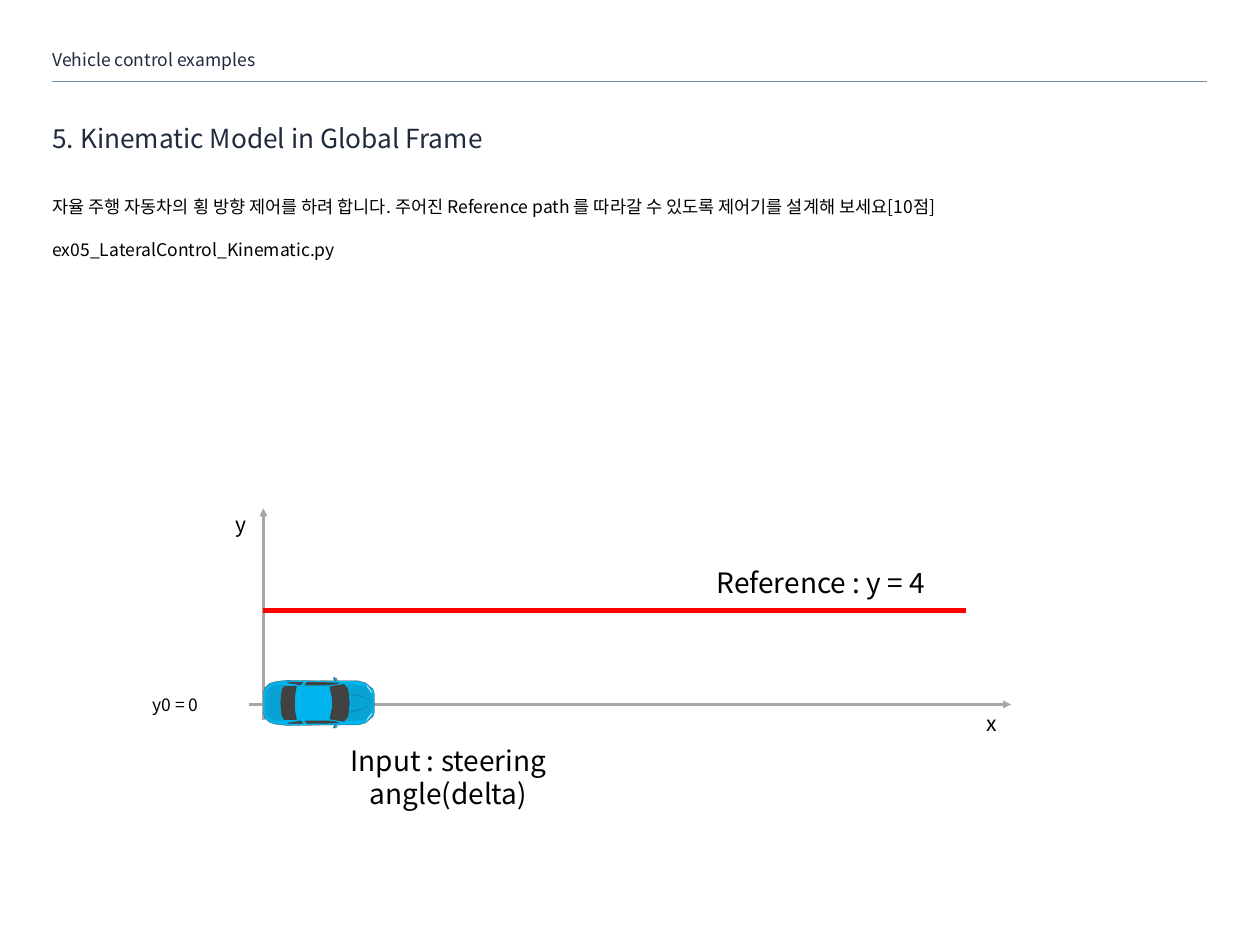
from lxml.etree import SubElement
from pptx import Presentation
from pptx.dml.color import RGBColor
from pptx.enum.shapes import MSO_CONNECTOR, MSO_SHAPE
from pptx.enum.text import MSO_ANCHOR, MSO_AUTO_SIZE, PP_ALIGN
from pptx.oxml.ns import qn
from pptx.util import Cm, Pt

FONT = "Noto Sans CJK KR"
COLORS = {"heading": "202B3D", "text": "000000", "rule": "778FAE", "axis": "A7A7A7",
          "reference": "FF0000", "paint": "00B4ED", "outline": "5B4036",
          "glass": "424242", "shade": "3C2A24", "crease": "000000", "light": "FFFFFF"}

HEADER = ["Vehicle control examples"]
TITLE = ["5. Kinematic Model in Global Frame"]
TASK = ["자율 주행 자동차의 횡 방향 제어를 하려 합니다. 주어진 Reference path 를 따라갈 수 있도록 "
        "제어기를 설계해 보세요[10점]",
        "ex05_LateralControl_Kinematic.py"]

# text, size, (left, top, width, height) in cm
LABELS = [
    ("Reference : y = 4", 32, (27.23, 22.56, 11.73, 1.83)),
    ("Input : steering angle(delta)", 32, (10.69, 29.72, 14.78, 1.83)),
    ("y", 24, (8.23, 20.37, 2.97, 1.5)),
    ("x", 24, (38.52, 28.4, 2.97, 1.5)),
    ("y0 = 0", 20, (1.21, 27.74, 11.73, 1.32)),
]
LABEL_MARGIN = 0.24

ORIGIN_X, AXIS_Y = 10.62, 28.4
# start, end in cm, color, width in points, arrow
RULE = ((2.11, 3.28), (48.68, 3.28), "rule", 0.25, False)
AXES = [((10.03, AXIS_Y), (40.76, AXIS_Y), "axis", 3, True),
        ((ORIGIN_X, 29.03), (ORIGIN_X, 20.5), "axis", 3, True)]
REFERENCE = ((ORIGIN_X, 24.61), (38.96, 24.61), "reference", 6, False)

# The car is symmetric about its long axis, so only the upper half is listed.
# Two numbers are a straight step, six are a Bézier curve.
CAR_UNIT = Cm(0.0254)
CAR_AXIS_Y = 28.34
# color, opacity in percent, half outline
CAR_BODY = ("paint", 100, [
    (0, 0), (0, -15), (0, -21, 3, -28, 10, -31), (14, -33, 23, -36, 38, -36), (113, -35),
    (111, -40), (111, -41, 116, -39, 117, -38), (117, -35), (151, -35),
    (159, -35, 166, -29, 169, -26), (173, -22, 175, -22, 176, -15), (177, -8, 176, -4, 176, 0)])
WINDSHIELD = ("glass", 100, [
    (109, 0), (109, -7), (108, -13, 107, -20, 105, -26), (128, -30),
    (133, -28, 135, -19, 136, -14), (136, -12, 137, -5, 137, 0)])
REAR_WINDOW = ("glass", 100, [
    (50, 0), (50, -6, 50, -12, 51, -16), (51, -19, 52, -23, 53, -27), (33, -27),
    (29, -25, 28, -17, 28, -14), (27, 0)])
HOOD = ("shade", 12, [
    (138, 0), (138, -6), (138, -8, 138, -10, 138, -13), (137, -17, 134, -23, 133, -29),
    (142, -29, 158, -28, 162, -27), (167, -24, 173, -15, 173, -13), (174, -2), (174, 0)])
TRUNK = ("shade", 12, [
    (26, 0), (26, -5), (27, -21), (28, -24, 30, -27, 33, -29), (27, -29, 20, -30, 15, -28),
    (11, -26, 8, -23, 6, -20), (4, -16, 3, -11, 3, -7), (3, 0)])
CENTRAL_PARTS = [CAR_BODY, WINDSHIELD, REAR_WINDOW, HOOD, TRUNK]

SIDE_REAR_WINDOW = ("glass", 100, [
    (63, -33), (58, -33, 45, -33, 41, -33), (34, -33, 38, -31, 41, -31),
    (44, -30, 55, -29, 59, -28), (61, -30, 62, -31, 63, -33)])
SIDE_FRONT_WINDOW = ("glass", 100, [
    (69, -33), (65, -28), (71, -27, 95, -28, 104, -28), (113, -29, 126, -32, 120, -32),
    (103, -33, 86, -33, 69, -33)])
WING_MIRROR = ("glass", 100, [
    (112, -40), (112, -40, 114, -37, 114, -36), (115, -36, 115, -30, 113, -36),
    (113, -37, 112, -39, 112, -40)])
HOOD_CREASE = ("crease", 12, [
    (139, -15), (139, -12), (143, -11, 148, -11, 151, -10), (155, -10, 162, -7, 168, -5),
    (163, -8, 157, -11, 153, -12), (148, -13, 144, -14, 139, -15)])
SIDE_PARTS = [SIDE_REAR_WINDOW, SIDE_FRONT_WINDOW, WING_MIRROR, HOOD_CREASE]
HEADLIGHT = (168, 22, 2, 16, 35.8)  # center x, distance from axis, width, height, tilt


def color(name):
    return RGBColor.from_string(COLORS[name])


def place(shape, box):
    shape.left, shape.top, shape.width, shape.height = (Cm(length) for length in box)


def write(shape, lines, size, color_name, align, margin, spacing=None, before=0):
    frame = shape.text_frame
    frame.word_wrap = True
    frame.auto_size = MSO_AUTO_SIZE.NONE
    frame.margin_left = frame.margin_right = Cm(margin)
    frame.margin_top = frame.margin_bottom = Cm(margin)
    frame.text = "\n".join(lines)
    for paragraph in frame.paragraphs:
        paragraph.alignment = align
        paragraph.line_spacing = spacing
        paragraph.space_before = Pt(before)
        font = paragraph.font
        font.name, font.size = FONT, Pt(size)
        font.color.rgb = color(color_name)


def fill_placeholder(shape, box, lines, size, color_name, anchor, spacing, before=0):
    place(shape, box)
    write(shape, lines, size, color_name, PP_ALIGN.LEFT, 0, spacing, before)
    shape.text_frame.vertical_anchor = anchor
    for paragraph in shape.text_frame.paragraphs:
        properties = paragraph._p.get_or_add_pPr()
        properties.set("marL", "0")
        properties.set("indent", "0")
        no_bullet = SubElement(properties, qn("a:buNone"))
        properties.find(qn("a:defRPr")).addprevious(no_bullet)


def draw_line(slide, start, end, color_name, width, arrow):
    line = slide.shapes.add_connector(
        MSO_CONNECTOR.STRAIGHT, *(Cm(length) for length in start + end))
    line.line.color.rgb = color(color_name)
    line.line.width = Pt(width)
    if arrow:
        SubElement(line.line._get_or_add_ln(), qn("a:tailEnd"), type="triangle")
    SubElement(line._element.spPr, qn("a:effectLst"))


def paint(shape, color_name, opacity):
    shape.shadow.inherit = False
    shape.fill.solid()
    shape.fill.fore_color.rgb = color(color_name)
    shape.line.fill.background()
    if opacity < 100:
        rgb = shape._element.spPr.find(qn("a:solidFill"))[0]
        SubElement(rgb, qn("a:alpha"), val=str(opacity * 1000))


def trace(steps, samples=2):
    """Turn straight steps and Bézier curves into a list of points."""
    points = [steps[0]]
    for step in steps[1:]:
        if len(step) == 2:
            points.append(step)
            continue
        controls = [points[-1], step[:2], step[2:4], step[4:]]
        for index in range(1, samples + 1):
            t = index / samples
            weights = ((1 - t) ** 3, 3 * t * (1 - t) ** 2, 3 * t * t * (1 - t), t ** 3)
            points.append(tuple(sum(weight * control[axis] for weight, control
                                    in zip(weights, controls)) for axis in (0, 1)))
    return points


def flip(points):
    return [(x, -y) for x, y in points]


def draw_outline(shapes, points, color_name, opacity):
    builder = shapes.build_freeform(*points[0], scale=CAR_UNIT)
    builder.add_line_segments(points[1:], close=True)
    shape = builder.convert_to_shape(Cm(ORIGIN_X), Cm(CAR_AXIS_Y))
    paint(shape, color_name, opacity)
    return shape


def draw_car(slide):
    shapes = slide.shapes.add_group_shape().shapes
    for part in CENTRAL_PARTS:
        color_name, opacity, steps = part
        half = trace(steps)
        mirrored_half = flip(half)[-2:0:-1]
        shape = draw_outline(shapes, half + mirrored_half, color_name, opacity)
        if part is CAR_BODY:
            shape.line.color.rgb = color("outline")
            shape.line.width = Pt(0.25)
    for color_name, opacity, steps in SIDE_PARTS:
        points = trace(steps)
        for side in (points, flip(points)):
            draw_outline(shapes, side, color_name, opacity)
    x, offset, width, height, tilt = HEADLIGHT
    for side in (-1, 1):
        light = shapes.add_shape(
            MSO_SHAPE.OVAL, Cm(ORIGIN_X) + int((x - width / 2) * CAR_UNIT),
            Cm(CAR_AXIS_Y) + int((side * offset - height / 2) * CAR_UNIT),
            width * CAR_UNIT, height * CAR_UNIT)
        light.rotation = side * tilt
        paint(light, "light", 63)


def main():
    presentation = Presentation()
    presentation.slide_width, presentation.slide_height = Cm(50.8), Cm(38.1)
    slide = presentation.slides.add_slide(presentation.slide_layouts.get_by_name("Two Content"))
    title, task, header = slide.placeholders
    fill_placeholder(header, (2.11, 1.91, 39.42, 1.09), HEADER, 20, "heading",
                     MSO_ANCHOR.MIDDLE, 0.9)
    fill_placeholder(title, (2.11, 4.83, 46.56, 1.65), TITLE, 30, "heading",
                     MSO_ANCHOR.MIDDLE, 0.9)
    fill_placeholder(task, (2.11, 7.47, 46.56, 4.67), TASK, 20, "text",
                     MSO_ANCHOR.TOP, 1.5, 13.5)
    for line in (RULE, *AXES):
        draw_line(slide, *line)
    draw_car(slide)
    draw_line(slide, *REFERENCE)
    for text, size, box in LABELS:
        label = slide.shapes.add_textbox(*(Cm(length) for length in box))
        write(label, [text], size, "text", PP_ALIGN.CENTER, LABEL_MARGIN)
    presentation.save("out.pptx")


if __name__ == "__main__":
    main()
